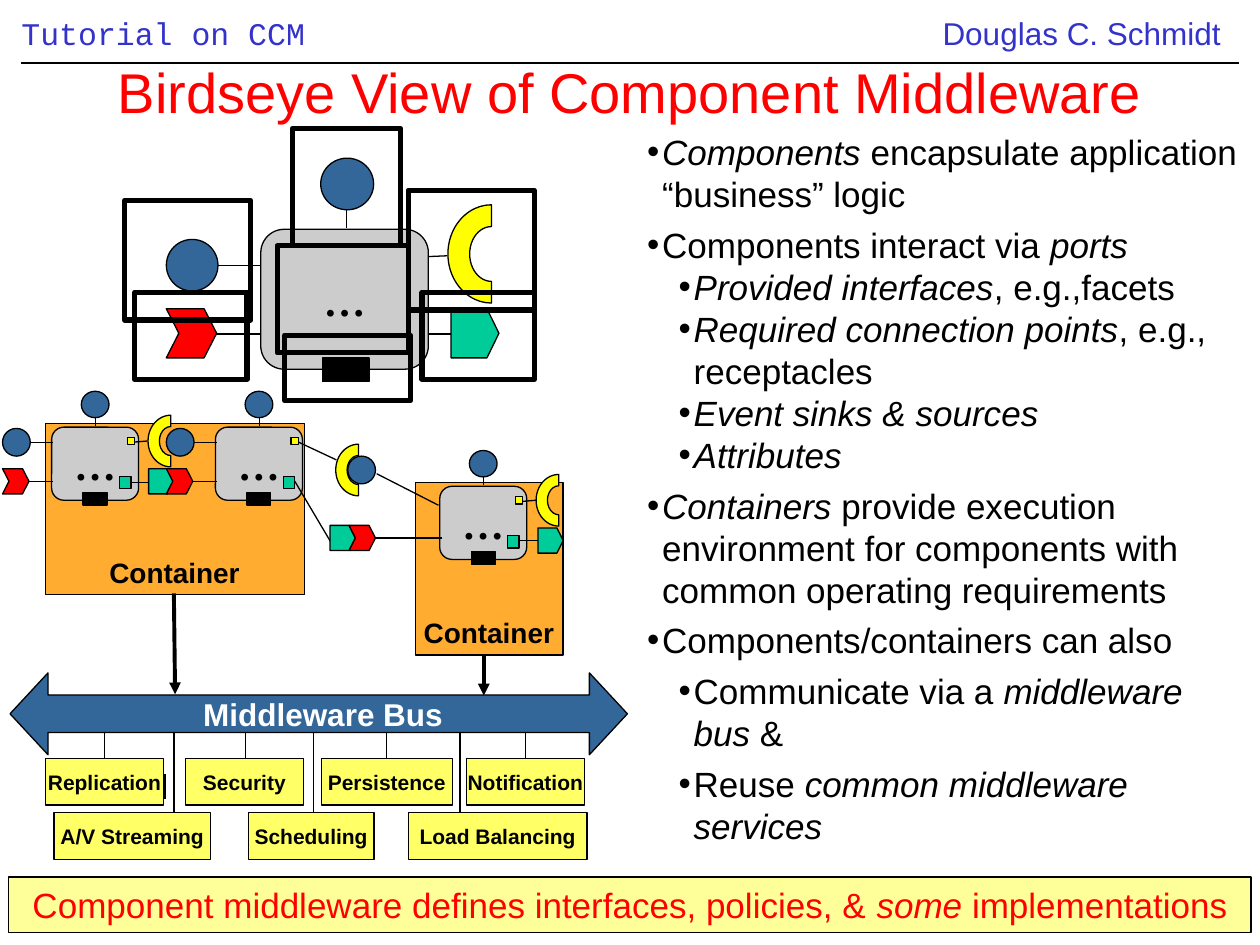
from lxml.etree import SubElement
from pptx import Presentation
from pptx.dml.color import RGBColor
from pptx.enum.shapes import MSO_CONNECTOR, MSO_SHAPE
from pptx.enum.text import MSO_ANCHOR, MSO_AUTO_SIZE, PP_ALIGN
from pptx.oxml.ns import qn
from pptx.util import Pt

PX = 9144  # 100 px to the inch
BLACK, GREY, BLUE, YELLOW = "000000", "CCCCCC", "336699", "FFFF00"
RED, GREEN, ORANGE, INDIGO = "FF0000", "00CC99", "FFAC31", "3333CC"
NOTE, SERVICE, WHITE = "FFFF99", "FFFF66", "FFFFFF"

# Asterisks enclose italics.
TITLE = "Birdseye View of Component Middleware"
SUMMARY = "Component middleware defines interfaces, policies, & *some* implementations"
BULLETS = [  # level, space before in points, text
    (0, 0, "*Components* encapsulate application “business” logic"),
    (0, 5, "Components interact via *ports*"),
    (1, 0, "*Provided interfaces*, e.g.,facets"),
    (1, 0, "*Required connection points*, e.g., receptacles"),
    (1, 0, "*Event sinks & sources*"),
    (1, 0, "*Attributes*"),
    (0, 5, "*Containers* provide execution environment for components with "
           "common operating requirements"),
    (0, 5, "Components/containers can also"),
    (1, 5, "Communicate via a *middleware bus* &"),
    (1, 5, "Reuse *common middleware services*"),
]
SERVICE_ROWS = [  # top, then (name, left, width, wire x)
    (602, [("Replication", 36, 94, 83), ("Security", 147, 94, 195),
           ("Persistence", 255, 104, 307), ("Notification", 370, 94, 417)]),
    (645, [("A/V Streaming", 43, 124, 138), ("Scheduling", 197, 100, 249),
           ("Load Balancing", 324, 142, 365)]),
]
FRAMES = [(335, 232, 89, 69), (107, 232, 89, 69), (324, 151, 100, 95), (99, 159, 100, 95),
          (232, 102, 86, 93), (226, 266, 100, 52), (220, 195, 104, 85)]
# Per component: body corner, then each port's corner and the two ends of its wire
LEFT_COMPONENTS = [
    dict(body=(41, 339),
         receptacle=((115, 332), (117, 350), (105, 351)),
         sink=((2, 372), (42, 382), (21, 382)),
         source=((118, 372), (121, 383), (104, 383)),
         facet=((2, 340), (42, 351), (20, 351))),
    dict(body=(171, 339),
         receptacle=((264, 355), (267, 365), (235, 350)),
         sink=((132, 372), (172, 382), (152, 382)),
         source=((262, 417), (263, 431), (234, 382)),
         facet=((132, 340), (172, 351), (150, 351))),
]
RIGHT_COMPONENT = dict(
    body=(349, 386),
    receptacle=((423, 379), (426, 397), (414, 398)),
    sink=((277, 417), (351, 427), (297, 427)),
    source=((427, 419), (430, 429), (413, 429)),
    facet=((276, 362), (348, 401), (299, 376)))


def color(value):
    return RGBColor.from_string(value)


def emu(*lengths):
    return [int(v * PX) for v in lengths]


def place(shape, *at):
    shape.left, shape.top, shape.width, shape.height = emu(*at)


def box(kind, x, y, w, h, fill=None, width=0.75, adj=(), rotation=0):
    sp = s.shapes.add_shape(kind, *emu(x, y, w, h))
    sp.rotation = rotation
    sp.shadow.inherit = False
    if fill:
        sp.fill.solid()
        sp.fill.fore_color.rgb = color(fill)
    else:
        sp.fill.background()
    sp.line.color.rgb = color(BLACK)
    sp.line.width = Pt(width)
    for i, value in enumerate(adj):
        sp.adjustments[i] = value
    return sp


def add_runs(p, text, rgb, **fmt):
    for i, part in enumerate(text.split("*")):
        if part:
            r = p.add_run()
            r.text = part
            for name, value in {"name": "Arial", "italic": i % 2 == 1, **fmt}.items():
                setattr(r.font, name, value)
            r.font.color.rgb = color(rgb)


def label(sp, text, size, rgb=BLACK, align=PP_ALIGN.CENTER, anchor=MSO_ANCHOR.MIDDLE,
          wrap=False, **fmt):
    tf = sp.text_frame
    tf.auto_size, tf.word_wrap, tf.vertical_anchor = MSO_AUTO_SIZE.NONE, wrap, anchor
    p = tf.paragraphs[0]
    p.alignment = align
    add_runs(p, text, rgb, size=Pt(size), **fmt)
    return tf


def text_box(x, y, w, h, *args, **fmt):
    return label(s.shapes.add_textbox(*emu(x, y, w, h)), *args,
                 anchor=MSO_ANCHOR.TOP, **fmt)


def wire(start, end, width=0.75, arrow=False):
    c = s.shapes.add_connector(MSO_CONNECTOR.STRAIGHT, *emu(*start, *end))
    c.line.color.rgb = color(BLACK)
    c.line.width = Pt(width)
    if arrow:
        SubElement(c.line._get_or_add_ln(), qn("a:tailEnd"), type="triangle")
    SubElement(c._element.spPr, qn("a:effectLst"))


def body(x, y, w, h):
    sp = box(MSO_SHAPE.ROUNDED_RECTANGLE, x, y, w, h, GREY, adj=[0.167])
    label(sp, "…", 24, name="Times New Roman", bold=True)


def port(kind, corner, start, end, w, h, fill, **fmt):
    wire(start, end)
    box(kind, *corner, w, h, fill, **fmt)


def small_component(c):
    x, y = c["body"]
    body(x, y, 69, 58)
    port(MSO_SHAPE.OVAL, (x + 24, y - 29), (x + 35, y - 1), (x + 35, y - 24),
         21, 22, BLUE, rotation=90)
    port(MSO_SHAPE.BLOCK_ARC, *c["receptacle"], 41, 36, YELLOW, rotation=270)
    box(MSO_SHAPE.RECTANGLE, x + 60, y + 8, 6, 6, YELLOW)
    port(MSO_SHAPE.CHEVRON, *c["sink"], 21, 20, RED, adj=[0.254])
    port(MSO_SHAPE.PENTAGON, *c["source"], 20, 20, GREEN, adj=[0.25])
    box(MSO_SHAPE.RECTANGLE, x + 54, y + 39, 9, 10, GREEN)
    port(MSO_SHAPE.OVAL, *c["facet"], 22, 22, BLUE)
    box(MSO_SHAPE.RECTANGLE, x + 25, y + 52, 19, 10, BLACK)


def large_component():
    port(MSO_SHAPE.OVAL, (255, 125), (275, 181), (275, 138), 41, 42, BLUE, rotation=90)
    port(MSO_SHAPE.BLOCK_ARC, (351, 167), (355, 203), (332, 204), 78, 69, YELLOW,
         rotation=270)
    port(MSO_SHAPE.CHEVRON, (132, 245), (210, 265), (170, 265), 40, 39, RED, adj=[0.256])
    port(MSO_SHAPE.PENTAGON, (358, 245), (363, 265), (329, 265), 38, 39, GREEN, adj=[0.25])
    port(MSO_SHAPE.OVAL, (132, 190), (210, 211), (167, 211), 41, 41, BLUE)


def large_body():
    body(207, 182, 133, 111)
    box(MSO_SHAPE.RECTANGLE, 256, 284, 37, 19, BLACK)
    for frame in FRAMES:
        box(MSO_SHAPE.RECTANGLE, *frame, width=3)


def container(x, y, w, h, components):
    box(MSO_SHAPE.RECTANGLE, x, y, w, h, ORANGE)
    text_box(x + w / 2 - 62, y + h - 36, 124, 37, "Container", 16, align=PP_ALIGN.LEFT,
             bold=True)
    for c in components:
        small_component(c)


def services():
    for top, row in SERVICE_ROWS:
        for name, x, w, wire_x in row:
            wire((wire_x, 582), (wire_x, top))
            sp = box(MSO_SHAPE.RECTANGLE, x, top, w, 37, SERVICE)
            label(sp, name, 12, bold=True)
    wire((131, 614), (131, 634))


def bullet_list(sp):
    place(sp, 503.5, 98.5, 497, 585)
    tf = sp.text_frame
    tf.auto_size, tf.word_wrap = MSO_AUTO_SIZE.NONE, True
    for i, (level, before, text) in enumerate(BULLETS):
        p = tf.add_paragraph() if i else tf.paragraphs[0]
        p.level, p.space_before, p.line_spacing = level, Pt(before), Pt(24)
        pPr = p._p.get_or_add_pPr()
        pPr.set("marL", str((12 + 25 * level) * PX))
        pPr.set("indent", str(-12 * PX))
        SubElement(pPr, qn("a:buChar"), char="•")
        add_runs(p, text, BLACK, size=Pt(20))


prs = Presentation()
prs.slide_width, prs.slide_height = emu(1000, 750)
s = prs.slides.add_slide(prs.slide_layouts[1])

tf = text_box(17, 6, 592, 40, "Tutorial on CCM", 18, INDIGO, PP_ALIGN.LEFT,
              wrap=True, name="Courier New")
tf.margin_left = tf.margin_right = 0
wire((17, 50), (983, 50))
text_box(733, 6, 251, 40, "Douglas C. Schmidt", 18, INDIGO, wrap=True)

bullet_list(s.placeholders[1])
large_component()
services()
large_body()
container(36, 336, 206, 136, LEFT_COMPONENTS)
bus = box(MSO_SHAPE.LEFT_RIGHT_ARROW, 8, 534, 490, 65, BLUE, adj=[0.459, 0.464])
label(bus, " Middleware Bus", 18, WHITE, bold=True)
wire((138, 471), (139, 551), 2.25, arrow=True)
wire((384, 491), (384, 552), 2.25, arrow=True)
container(330, 383, 117, 137, [RIGHT_COMPONENT])

place(s.shapes.title, 0, 22, 1000, 100)
label(s.shapes.title, TITLE, 32, RED, wrap=True)
summary = box(MSO_SHAPE.RECTANGLE, 7, 696, 986, 44, NOTE)
label(summary, SUMMARY, 20, RED, wrap=True)

prs.save("out.pptx")
